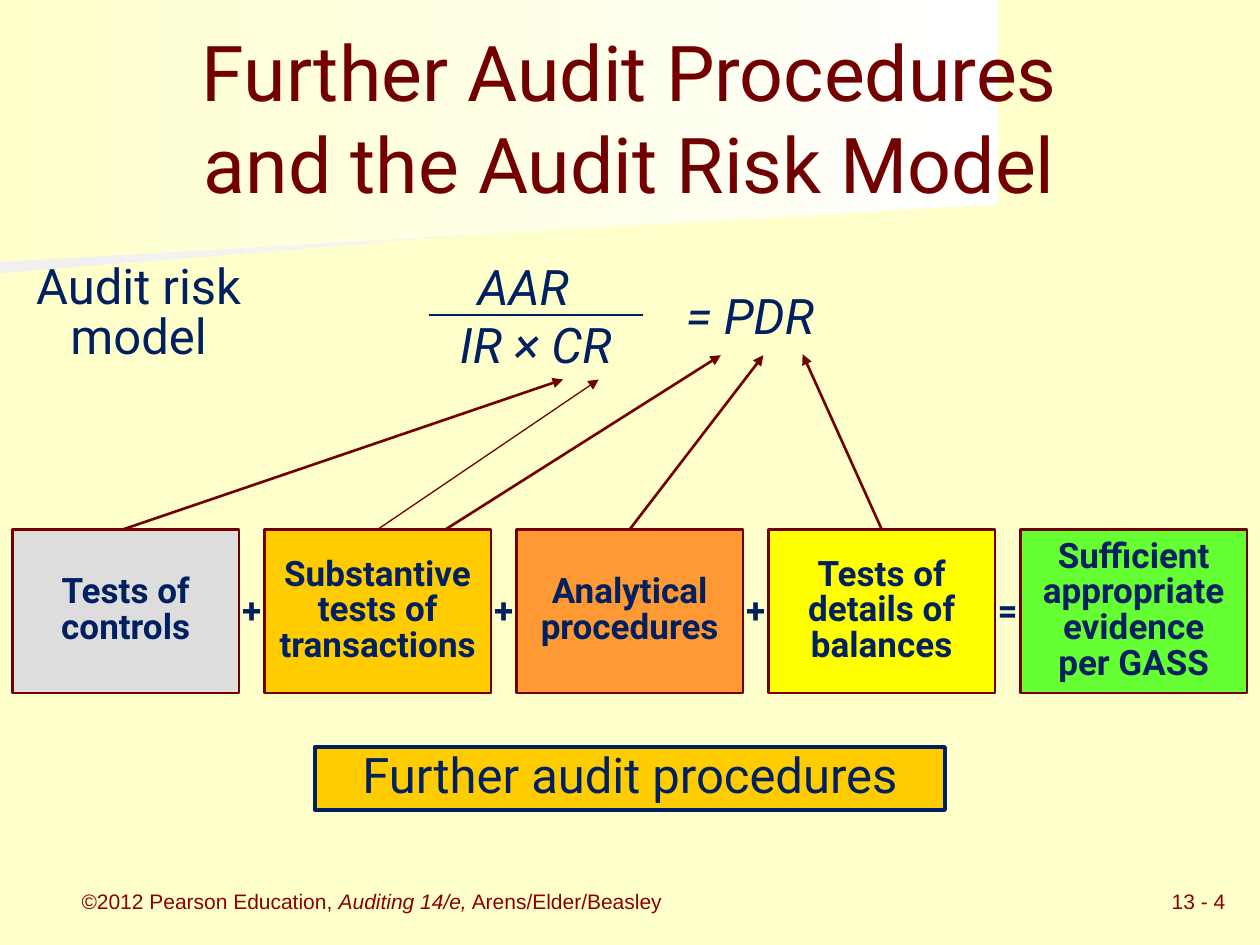
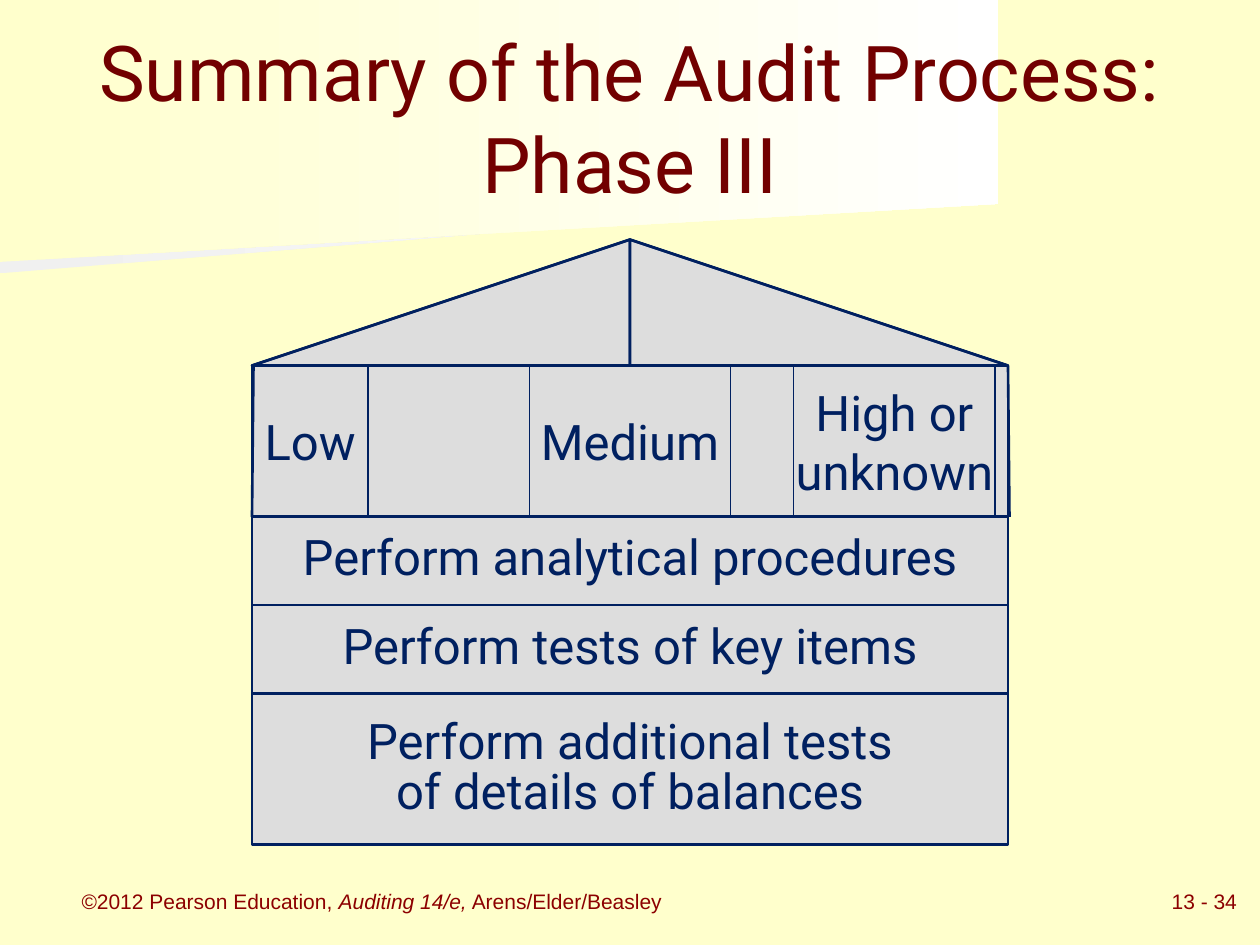
from collections import namedtuple

from lxml.etree import SubElement
from pptx import Presentation
from pptx.dml.color import RGBColor
from pptx.enum.shapes import MSO_CONNECTOR, MSO_SHAPE
from pptx.enum.text import MSO_ANCHOR, MSO_AUTO_SIZE, PP_ALIGN
from pptx.oxml.ns import qn
from pptx.util import Cm, Pt

COLORS = {
    "cream": "FFFFCC", "white": "FFFFFF", "mist": "F0F0F0",
    "maroon": "720000", "footer": "8C0000", "navy": "002060",
    "gray": "DDDDDD", "gold": "FFCC00", "orange": "FF9933",
    "yellow": "FFFF00", "green": "66FF33",
}
TITLE = {"name": "Roboto", "size": Pt(44)}
BODY = {"name": "Roboto", "size": Pt(28)}
FORMULA = {**BODY, "italic": True}
BOLD = {"name": "Roboto", "size": Pt(20), "bold": True}
FOOTER = {"name": "Arial", "size": Pt(12)}
FRAME = {
    "auto_size": MSO_AUTO_SIZE.NONE, "word_wrap": False,
    "vertical_anchor": MSO_ANCHOR.MIDDLE,
    "margin_left": Cm(0.25), "margin_right": Cm(0.25),
    "margin_top": Cm(0.13), "margin_bottom": Cm(0.13),
}
TIGHT = 0.85

# All box lengths are centimetres
Box = namedtuple("Box", "left top width height")


def rgb(name):
    return RGBColor.from_string(COLORS[name])


def apply(target, values):
    for name, value in values.items():
        setattr(target, name, value)


def lengths(box):
    return [Cm(value) for value in box]


def write(shape, lines, style=BODY, color="navy", spacing=1.0,
          align=PP_ALIGN.CENTER, **frame):
    """Write one paragraph per line; in a tuple every second run is italic."""
    text_frame = shape.text_frame
    apply(text_frame, {**FRAME, **frame})
    for number, line in enumerate(lines):
        paragraph = text_frame.add_paragraph() if number else text_frame.paragraphs[0]
        apply(paragraph, {"alignment": align, "line_spacing": spacing})
        parts = (line,) if isinstance(line, str) else line
        for index, part in enumerate(parts):
            run = paragraph.add_run()
            run.text = part
            apply(run.font, style)
            run.font.color.rgb = rgb(color)
            if index % 2:
                run.font.italic = True


def add_label(slide, box, lines, **text):
    write(slide.shapes.add_textbox(*lengths(box)), lines, **text)


def add_panel(slide, box, fill=None, line="navy", width=1.5, lines=(),
              preset=MSO_SHAPE.RECTANGLE, **text):
    shape = slide.shapes.add_shape(preset, *lengths(box))
    shape.shadow.inherit = False
    if fill:
        shape.fill.solid()
        shape.fill.fore_color.rgb = rgb(fill)
    else:
        shape.fill.background()
    shape.line.color.rgb = rgb(line)
    shape.line.width = Pt(width)
    if lines:
        write(shape, lines, **text)
    return shape


def add_line(slide, start, end, color="navy", width=1.5, arrow=False):
    connector = slide.shapes.add_connector(
        MSO_CONNECTOR.STRAIGHT, *lengths(start), *lengths(end))
    connector.line.color.rgb = rgb(color)
    connector.line.width = Pt(width)
    properties = connector.element.spPr
    if arrow:
        SubElement(properties.find(qn("a:ln")), qn("a:tailEnd"), type="triangle")
    SubElement(properties, qn("a:effectLst"))


def add_band(slide, points, first, last):
    start, *rest = [lengths(point) for point in points]
    builder = slide.shapes.build_freeform(*start)
    builder.add_line_segments(rest)
    band = builder.convert_to_shape()
    band.shadow.inherit = False
    band.line.fill.background()
    band.fill.gradient()
    band.fill.gradient_angle = 0
    for stop, color in zip(band.fill.gradient_stops, (first, last)):
        stop.color.rgb = rgb(color)


def new_slide(presentation, title_text, number):
    """Add a slide with the shared bands, title and footer."""
    slide = presentation.slides.add_slide(presentation.slide_layouts[5])
    add_band(slide, [(0, 2.57), (19.79, 2.57), (19.76, 3.89), (0, 5.51)],
             "mist", "white")
    add_band(slide, [(0, 0), (20.12, 0), (20.12, 4.11), (0, 5.28)],
             "cream", "white")

    # Footer
    add_label(slide, Box(0, 17.78, 14.99, 0.76),
              [("©2012 Pearson Education, ", "Auditing 14/e,", " Arens/Elder/Beasley")],
              style=FOOTER, color="footer")
    add_label(slide, Box(23.37, 17.78, 2.03, 0.76), [f"13 - {number}"],
              style=FOOTER, color="footer", align=PP_ALIGN.LEFT)

    # Title, brought in front of the bands
    title = slide.shapes.title
    apply(title, dict(zip(Box._fields, lengths(Box(1.27, 0.76, 22.86, 3.18)))))
    write(title, title_text.split("\n"), style=TITLE, color="maroon", word_wrap=True)
    title.element.getparent().append(title.element)
    return slide


def risk_formula(slide, box):
    """Draw AAR over IR × CR, followed by = PDR."""
    bar_width, line_height = 4.32, 1.17
    middle = box.top + box.height / 2
    add_label(slide, Box(box.left, middle - line_height, bar_width - 0.5, line_height),
              ["AAR"], style=FORMULA)
    add_label(slide, Box(box.left, middle, bar_width, line_height),
              ["IR × CR"], style=FORMULA)
    add_line(slide, (box.left, middle), (box.left + bar_width, middle))
    add_label(slide, Box(box.left + 4.83, box.top, 3.3, box.height),
              ["= PDR"], style=FORMULA)


def procedure_row(slide, box):
    """Draw the equation of tests and return the box of each term."""
    terms = [
        ("gray", ["Tests of", "controls"], "+"),
        ("gold", ["Substantive", "tests of", "transactions"], "+"),
        ("orange", ["Analytical", "procedures"], "+"),
        ("yellow", ["Tests of", "details of", "balances"], "="),
        ("green", ["Sufficient", "appropriate", "evidence", "per GASS"], None),
    ]
    gap = 0.51
    width = (box.width - gap * (len(terms) - 1)) / len(terms)
    term_boxes = []
    for index, (fill, lines, operator) in enumerate(terms):
        term = Box(box.left + index * (width + gap), box.top, width, box.height)
        add_panel(slide, term, fill, "maroon", lines=lines, style=BOLD, spacing=TIGHT)
        if operator:
            add_label(slide, Box(term.left + width, box.top, gap, box.height),
                      [operator], style=BOLD, spacing=0.95)
        term_boxes.append(term)
    return term_boxes


def formula_arrows(slide, term_boxes, formula):
    """Join terms to the part of the formula that they affect."""
    arrows = [  # term, shift from its centre, end within the formula, width
        (0, -0.05, (2.71, 2.57), 1.5),
        (1, 0, (3.43, 2.57), 0.75),
        (1, 1.37, (5.89, 2.08), 1.5),
        (2, 0, (6.75, 2.08), 1.5),
        (3, 0, (7.54, 2.06), 1.5),
    ]
    for index, shift, (x, y), width in arrows:
        term = term_boxes[index]
        add_line(slide, (term.left + term.width / 2 + shift, term.top),
                 (formula.left + x, formula.top + y), "maroon", width, arrow=True)


def audit_house(slide, box):
    """Draw a roof, a wall with risk levels, and the floors below."""
    roof_height, wall_height = 2.54, 3.05
    half = box.width / 2
    middle, right = box.left + half, box.left + box.width
    eaves = box.top + roof_height
    base = eaves + wall_height

    # Floors
    floors = [
        (1.78, ["Perform analytical procedures"]),
        (1.78, ["Perform tests of key items"]),
        (3.05, ["Perform additional tests", "of details of balances"]),
    ]
    top = base
    for height, lines in floors:
        add_panel(slide, Box(box.left, top, box.width, height), "gray",
                  lines=lines, spacing=TIGHT)
        top += height

    # Roof
    for left in (box.left, middle):
        half_roof = add_panel(slide, Box(left, box.top, half, roof_height), "gray",
                              preset=MSO_SHAPE.RIGHT_TRIANGLE)
        if left == box.left:
            half_roof.element.spPr.get_or_add_xfrm().set("flipH", "1")

    # Wall and its outline
    add_panel(slide, Box(box.left, eaves, box.width, wall_height), "gray")
    edges = [
        ((box.left, eaves), (middle, box.top)),
        ((middle, box.top), (right, eaves)),
        ((right, eaves), (right + 0.03, base)),
        ((box.left + 0.03, eaves), (box.left, base)),
    ]
    for start, end in edges:
        add_line(slide, start, end)

    # Risk levels
    levels = [(0, 2.34, ["Low"]), (5.59, 4.06, ["Medium"]),
              (10.92, 4.06, ["High or", "unknown"])]
    for offset, width, lines in levels:
        add_panel(slide, Box(box.left + offset, eaves, width, wall_height),
                  width=0.75, lines=lines)


def risk_model_slide(presentation):
    slide = new_slide(presentation,
                      "Further Audit Procedures\nand the Audit Risk Model", 4)
    add_label(slide, Box(0.51, 5.08, 4.57, 2.54), ["Audit risk", "model"], spacing=TIGHT)
    formula = Box(8.64, 5.08, 8.13, 2.54)
    risk_formula(slide, formula)
    term_boxes = procedure_row(slide, Box(0.25, 10.67, 24.89, 3.3))
    formula_arrows(slide, term_boxes, formula)
    add_panel(slide, Box(6.35, 15.06, 12.7, 1.27), "gold", width=2.25,
              lines=["Further audit procedures"], spacing=TIGHT)


def audit_process_slide(presentation):
    slide = new_slide(presentation, "Summary of the Audit Process: Phase III", 34)
    audit_house(slide, Box(5.08, 4.83, 15.24, 12.2))


def main():
    presentation = Presentation()
    presentation.slide_width, presentation.slide_height = Cm(25.4), Cm(19.05)
    background = presentation.slide_master.background.fill
    background.solid()
    background.fore_color.rgb = rgb("cream")
    risk_model_slide(presentation)
    audit_process_slide(presentation)
    presentation.save("out.pptx")


if __name__ == "__main__":
    main()
